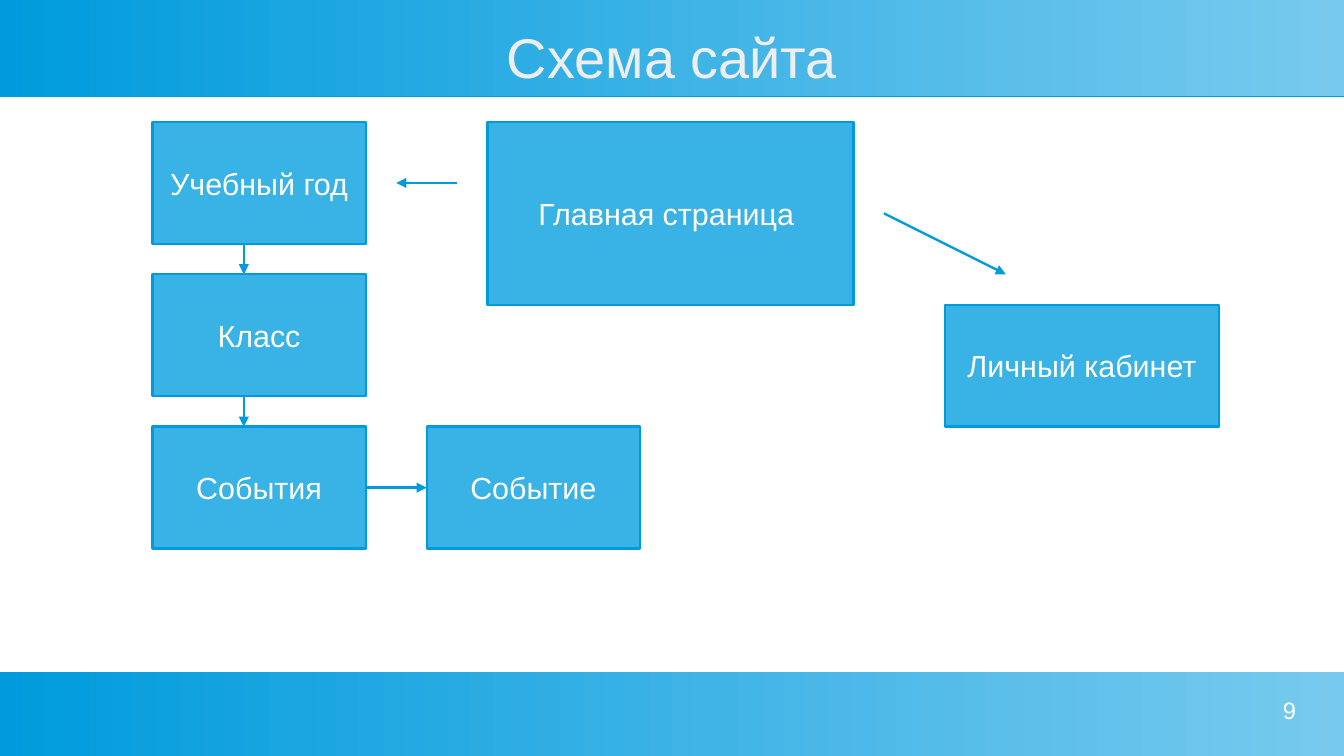
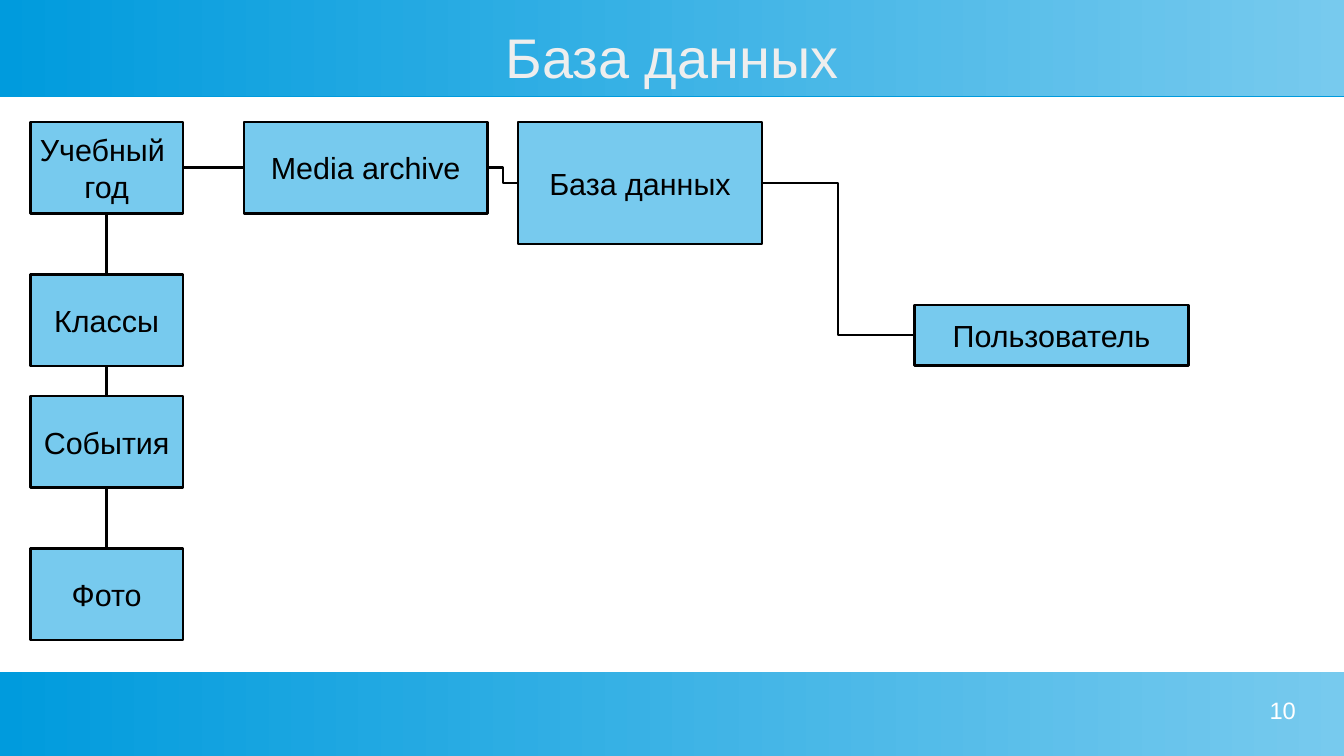
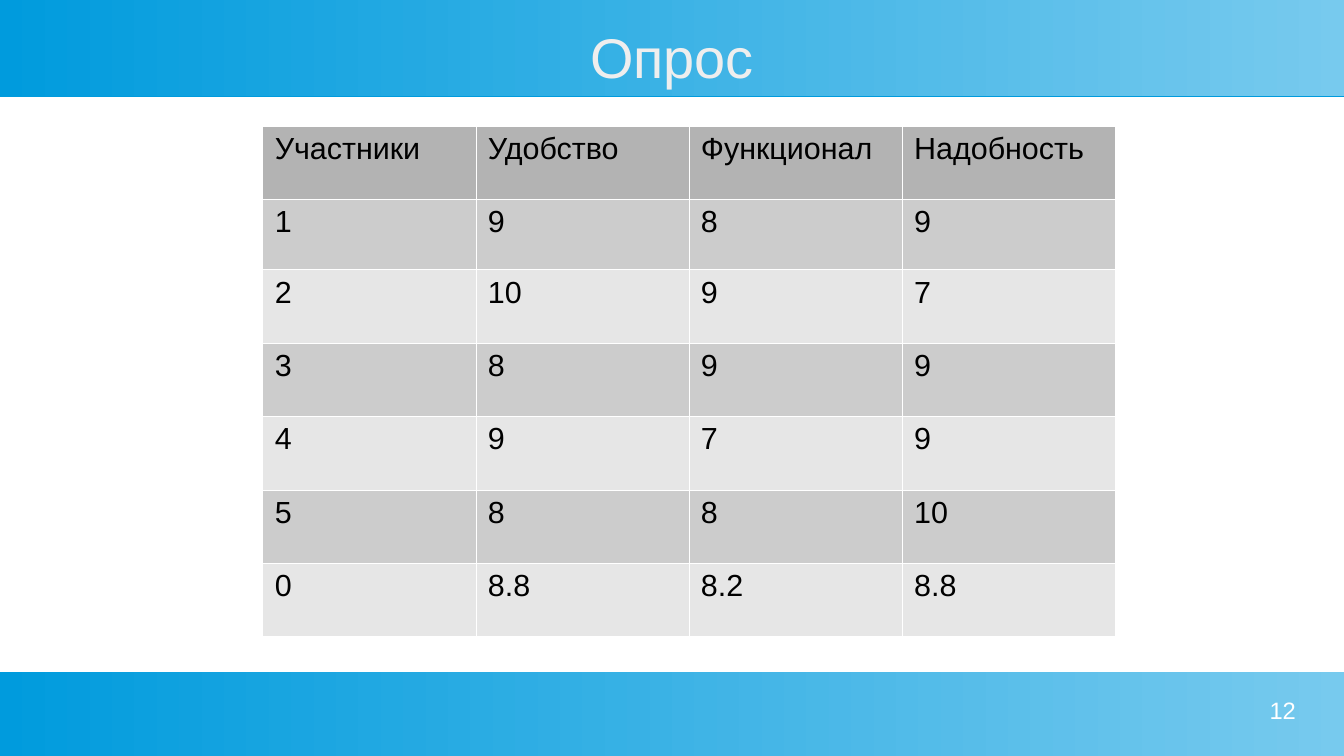
from dataclasses import dataclass

from lxml.etree import SubElement
from pptx import Presentation
from pptx.dml.color import RGBColor
from pptx.enum.shapes import MSO_CONNECTOR, MSO_SHAPE
from pptx.enum.text import MSO_ANCHOR, PP_ALIGN
from pptx.oxml.ns import qn
from pptx.util import Cm, Pt

# Shared look
FONT = "Arial"
BLUE, SKY, LIGHT = "009BDD", "39B2E5", "77CAEE"
BLACK, WHITE, TITLE_GREY = "000000", "FFFFFF", "EEEEEE"
HEADER_GREY, ODD_GREY, EVEN_GREY = "B3B3B3", "CCCCCC", "E6E6E6"
SLIDE_WIDTH, SLIDE_HEIGHT = Cm(28), Cm(15.75)
LINE_WIDTH = Cm(0.05)
GRID = Cm(2.54) // 4  # diagrams sit on a quarter-inch grid
TOP, LEFT, BOTTOM, RIGHT = range(4)  # connection sites of a rectangle


@dataclass(frozen=True)
class Node:
    """A diagram box, measured in grid steps."""
    text: str
    left: int
    top: int
    width: int
    height: int


@dataclass(frozen=True)
class Arrow:
    """A free arrow between two grid points."""
    start: tuple[int, int]
    end: tuple[int, int]


@dataclass(frozen=True)
class Link:
    """A line glued to two nodes, named by their index."""
    start: int
    start_site: int
    end: int
    end_site: int
    kind: MSO_CONNECTOR = MSO_CONNECTOR.STRAIGHT


@dataclass(frozen=True)
class NodeStyle:
    fill: str
    line: str
    text: str


SITE_STYLE = NodeStyle(SKY, BLUE, WHITE)
SITE_NODES = [
    Node("Главная страница ", 16, 4, 12, 6),
    Node("Личный кабинет", 31, 10, 9, 4),
    Node("Учебный год", 5, 4, 7, 4),
    Node("Класс", 5, 9, 7, 4),
    Node("События", 5, 14, 7, 4),
    Node("Событие", 14, 14, 7, 4),
]
SITE_ARROWS = [
    Arrow((29, 7), (33, 9)),
    Arrow((15, 6), (13, 6)),
    Arrow((8, 8), (8, 9)),
    Arrow((8, 13), (8, 14)),
    Arrow((12, 16), (14, 16)),
]

DATABASE_STYLE = NodeStyle(LIGHT, BLACK, BLACK)
DATABASE_NODES = [
    Node("База данных", 17, 4, 8, 4),
    Node("Пользователь", 30, 10, 9, 2),
    Node("Media archive", 8, 4, 8, 3),
    Node("Учебный \nгод", 1, 4, 5, 3),
    Node("Классы", 1, 9, 5, 3),
    Node("События", 1, 13, 5, 3),
    Node("Фото", 1, 18, 5, 3),
]
DATABASE_LINKS = [
    Link(0, RIGHT, 1, LEFT, MSO_CONNECTOR.ELBOW),
    Link(2, RIGHT, 0, LEFT, MSO_CONNECTOR.ELBOW),
    Link(3, RIGHT, 2, LEFT),
    Link(3, BOTTOM, 4, TOP),
    Link(4, BOTTOM, 5, TOP),
    Link(5, BOTTOM, 6, TOP),
]

SURVEY = [
    ("Участники", "Удобство", "Функционал", "Надобность"),
    ("1", "9", "8", "9"),
    ("2", "10", "9", "7"),
    ("3", "8", "9", "9"),
    ("4", "9", "7", "9"),
    ("5", "8", "8", "10"),
    ("0", "8.8", "8.2", "8.8"),
]
ROW_HEIGHTS = [1.53, 1.46] + [1.53] * 5
COLUMN_WIDTH = 4.44


def rgb(value: str) -> RGBColor:
    return RGBColor.from_string(value)


def write(frame, text: str, size: int, color: str, align: PP_ALIGN) -> None:
    for index, line in enumerate(text.split("\n")):
        para = frame.paragraphs[0] if index == 0 else frame.add_paragraph()
        para.alignment = align
        span = para.add_run()
        span.text = line
        span.font.name = FONT
        span.font.size = Pt(size)
        span.font.color.rgb = rgb(color)


def add_band(page, top: float, height: float) -> None:
    band = page.shapes.add_shape(MSO_SHAPE.RECTANGLE, 0, Cm(top), SLIDE_WIDTH, Cm(height))
    band.line.fill.background()
    band.fill.gradient()
    band.fill.gradient_angle = 0
    for stop, color in zip(band.fill.gradient_stops, (BLUE, LIGHT)):
        stop.color.rgb = rgb(color)
    # Crisp blue edge cast downwards
    band.shadow.inherit = False
    effects = band._element.spPr.find(qn("a:effectLst"))
    shadow = SubElement(effects, qn("a:outerShdw"), blurRad="0", dist=str(Cm(0.03)),
                        dir="5400000", algn="ctr", rotWithShape="0")
    SubElement(shadow, qn("a:srgbClr"), val=BLUE)


def add_label(page, text: str, area: tuple[float, ...], size: int, color: str,
              align: PP_ALIGN, anchor: MSO_ANCHOR) -> None:
    box = page.shapes.add_textbox(*(Cm(value) for value in area))
    frame = box.text_frame
    frame.word_wrap = True
    frame.vertical_anchor = anchor
    frame.margin_left = frame.margin_right = frame.margin_top = frame.margin_bottom = 0
    write(frame, text, size, color, align)


def add_page(deck, title: str, number: int):
    page = deck.slides.add_slide(deck.slide_layouts[6])
    add_band(page, 0, 2)
    add_band(page, 14, 1.75)
    add_label(page, title, (1, 0.5, 26, 1.33), 33, TITLE_GREY,
              PP_ALIGN.CENTER, MSO_ANCHOR.MIDDLE)
    add_label(page, str(number), (20.5, 14.5, 6.5, 1), 14, WHITE,
              PP_ALIGN.RIGHT, MSO_ANCHOR.TOP)
    return page


def add_node(page, node: Node, style: NodeStyle):
    box = page.shapes.add_shape(
        MSO_SHAPE.RECTANGLE, node.left * GRID, node.top * GRID,
        node.width * GRID, node.height * GRID)
    box.shadow.inherit = False
    box.fill.solid()
    box.fill.fore_color.rgb = rgb(style.fill)
    box.line.color.rgb = rgb(style.line)
    box.line.width = LINE_WIDTH
    box.text_frame.word_wrap = False
    box.text_frame.vertical_anchor = MSO_ANCHOR.MIDDLE
    write(box.text_frame, node.text, 18, style.text, PP_ALIGN.CENTER)
    return box


def style_connector(connector, color: str) -> None:
    connector.line.color.rgb = rgb(color)
    connector.line.width = LINE_WIDTH
    SubElement(connector._element.spPr, qn("a:effectLst"))


def add_arrow(page, arrow: Arrow, color: str) -> None:
    ends = (value * GRID for value in arrow.start + arrow.end)
    connector = page.shapes.add_connector(MSO_CONNECTOR.STRAIGHT, *ends)
    style_connector(connector, color)
    SubElement(connector.line._get_or_add_ln(), qn("a:tailEnd"), type="triangle")


def add_link(page, link: Link, boxes: list, color: str) -> None:
    connector = page.shapes.add_connector(link.kind, 0, 0, 0, 0)
    connector.begin_connect(boxes[link.start], link.start_site)
    connector.end_connect(boxes[link.end], link.end_site)
    style_connector(connector, color)


def add_cell_borders(cell) -> None:
    properties = cell._tc.get_or_add_tcPr()
    for side in ("lnL", "lnR", "lnT", "lnB"):
        border = SubElement(properties, qn(f"a:{side}"), w=str(Pt(0.06)))
        fill = SubElement(border, qn("a:solidFill"))
        SubElement(fill, qn("a:srgbClr"), val=WHITE)


def add_survey_table(page) -> None:
    columns = len(SURVEY[0])
    table = page.shapes.add_table(
        len(SURVEY), columns, Cm(5.47), Cm(2.62),
        Cm(COLUMN_WIDTH * columns), Cm(sum(ROW_HEIGHTS))).table
    table.first_row = table.horz_banding = False
    for column in table.columns:
        column.width = Cm(COLUMN_WIDTH)
    for index, (row, height, values) in enumerate(zip(table.rows, ROW_HEIGHTS, SURVEY)):
        row.height = Cm(height)
        shade = HEADER_GREY if index == 0 else ODD_GREY if index % 2 else EVEN_GREY
        for cell, value in zip(row.cells, values):
            add_cell_borders(cell)
            cell.fill.solid()
            cell.fill.fore_color.rgb = rgb(shade)
            write(cell.text_frame, value, 18, BLACK, PP_ALIGN.LEFT)


def main() -> None:
    deck = Presentation()
    deck.slide_width, deck.slide_height = SLIDE_WIDTH, SLIDE_HEIGHT

    # Site map
    page = add_page(deck, "Схема сайта", 9)
    for node in SITE_NODES:
        add_node(page, node, SITE_STYLE)
    for arrow in SITE_ARROWS:
        add_arrow(page, arrow, BLUE)

    # Database
    page = add_page(deck, "База данных", 10)
    boxes = [add_node(page, node, DATABASE_STYLE) for node in DATABASE_NODES]
    for link in DATABASE_LINKS:
        add_link(page, link, boxes, BLACK)

    # Survey
    page = add_page(deck, "Опрос", 12)
    add_survey_table(page)

    deck.save("out.pptx")


if __name__ == "__main__":
    main()
